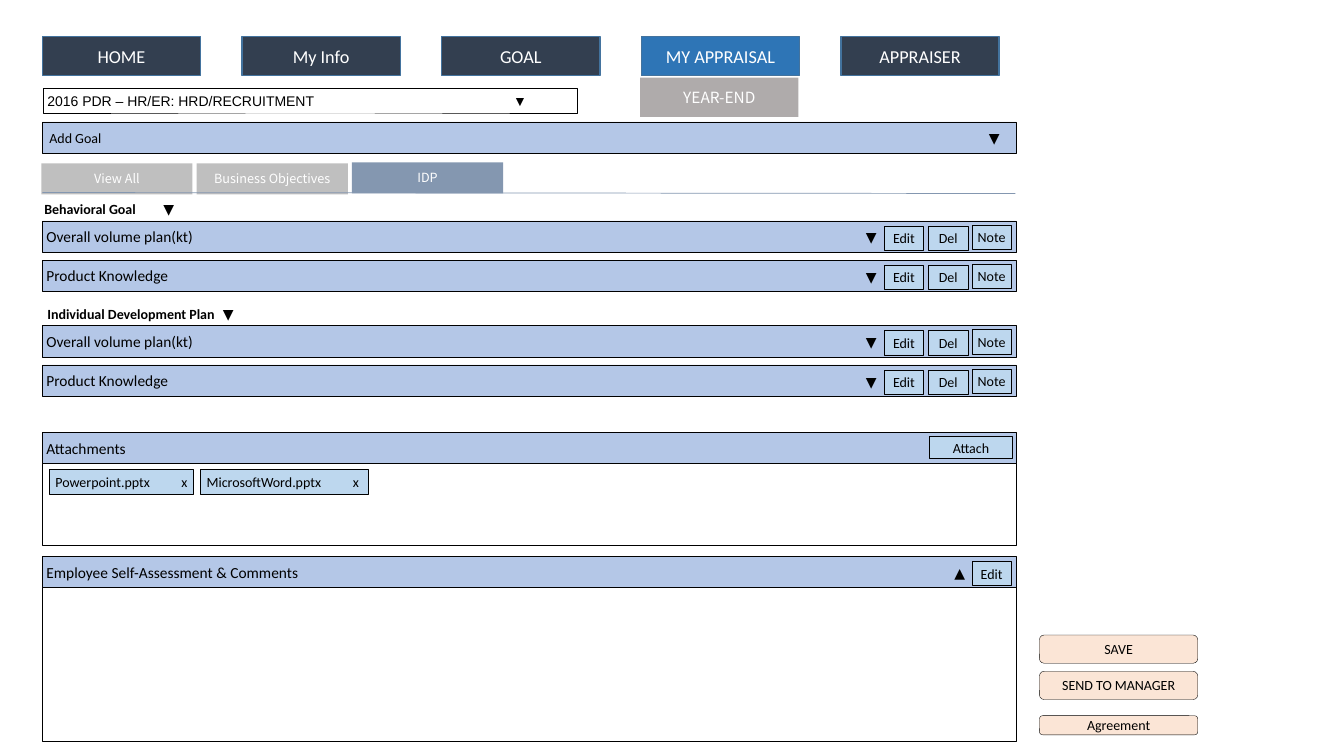
from dataclasses import dataclass

from lxml import etree
from pptx import Presentation
from pptx.dml.color import RGBColor
from pptx.enum import shapes, text
from pptx.oxml import ns
from pptx import util as u

PX = 9144  # 100 px to the inch


@dataclass(frozen=True)
class Theme:
    nav: str = "333F50"
    nav_active: str = "2E75B6"
    nav_line: str = "43739E"
    submenu: str = "AFABAB"
    tab: str = "BFBFBF"
    tab_active: str = "8497B0"
    bar: str = "B4C7E7"
    button: str = "BDD7EE"
    action: str = "FBE5D6"
    ink: str = "000000"
    white: str = "FFFFFF"
    body_font: str = "Calibri"
    field_font: str = "Arial"
    tab_font: str = "Noto Sans CJK KR"
    nav_size: int = 13
    bar_size: int = 11
    small_size: int = 10
    tab_size: int = 9


THEME = Theme()
LEFT, WIDTH, BAR_HEIGHT = 42, 966, 31
NAV_WIDTH, NAV_HEIGHT = 157, 39
CENTER, START = text.PP_ALIGN.CENTER, text.PP_ALIGN.LEFT


def emu(*lengths):
    return [u.Emu(length * PX) for length in lengths]


def write(shape, runs, size=THEME.small_size, font=THEME.body_font,
          color=THEME.ink, align=CENTER, inset=4, tab=None):
    """Fill a shape with one line of (words, bold) runs, with an optional tab stop."""
    frame = shape.text_frame
    margin, none = emu(inset, 0)
    settings = {"word_wrap": tab is None, "vertical_anchor": text.MSO_ANCHOR.MIDDLE,
                "margin_left": margin, "margin_right": none if tab else margin,
                "margin_top": none, "margin_bottom": none}
    for name, value in settings.items():
        setattr(frame, name, value)
    paragraph = frame.paragraphs[0]
    paragraph.alignment = align
    if tab:
        tabs = etree.SubElement(paragraph._p.get_or_add_pPr(), ns.qn("a:tabLst"))
        etree.SubElement(tabs, ns.qn("a:tab"), pos=str(tab * PX), algn="l")
    for words, bold in runs:
        run = paragraph.add_run()
        run.text = words
        for name, value in {"name": font, "size": u.Pt(size), "bold": bold}.items():
            setattr(run.font, name, value)
        run.font.color.rgb = RGBColor.from_string(color)


def add_box(slide, box, words="", fill=None, line=THEME.ink, line_width=0.25,
            kind=shapes.MSO_SHAPE.RECTANGLE, **style):
    shape = slide.shapes.add_shape(kind, *emu(*box))
    shape.shadow.inherit = False
    if fill:
        shape.fill.solid()
        shape.fill.fore_color.rgb = RGBColor.from_string(fill)
    else:
        shape.fill.background()
    if line:
        shape.line.color.rgb = RGBColor.from_string(line)
        shape.line.width = u.Pt(line_width)
    else:
        shape.line.fill.background()
    if words:
        write(shape, [(words, False)], **style)


def add_label(slide, box, runs, **style):
    write(slide.shapes.add_textbox(*emu(*box)), runs, **style)


def add_arrow(slide, left, top, mark="▼"):
    add_label(slide, (left, top, 24, 27), [(mark, False)], inset=0)


def add_button(slide, left, top, words, width=39, height=24):
    add_box(slide, (left, top, width, height), words, THEME.button)


def add_bar(slide, top, words, size=THEME.bar_size, inset=4):
    add_box(slide, (LEFT, top, WIDTH, BAR_HEIGHT), words, THEME.bar,
            size=size, align=START, inset=inset)


def add_goal_row(slide, top, words):
    add_bar(slide, top, words)
    add_arrow(slide, 852, top + 3)
    for left, drop, caption in ((877, 5, "Edit"), (921, 5, "Del"), (964, 4, "Note")):
        add_button(slide, left, top + drop, caption)


def add_goal_section(slide, top, heading, inset, tab):
    add_label(slide, (LEFT, top, 323, 21), [(heading + "\t", True), ("▼", False)],
              align=START, inset=inset, tab=tab)
    for offset, goal in ((22, "Overall volume plan(kt)"), (61, "Product Knowledge")):
        add_goal_row(slide, top + offset, goal)


def add_panel(slide, top, heading, body_height):
    add_box(slide, (LEFT, top + 30, WIDTH, body_height))
    add_bar(slide, top, heading)


def add_navigation(slide):
    items = ("HOME", "My Info", "GOAL", "MY APPRAISAL", "APPRAISER")
    for index, item in enumerate(items):
        fill = THEME.nav_active if item == "MY APPRAISAL" else THEME.nav
        add_box(slide, (LEFT + index * 198, 36, NAV_WIDTH, NAV_HEIGHT), item, fill,
                THEME.nav_line, 1, size=THEME.nav_size, color=THEME.white)
    add_box(slide, (635, 77, NAV_WIDTH, NAV_HEIGHT), "YEAR-END", THEME.submenu, None,
            size=THEME.bar_size, font=THEME.tab_font, color=THEME.white)


def add_tabs(slide):
    tabs = (("View All", 162, THEME.tab), ("Business Objectives", 162, THEME.tab),
            ("IDP", 161, THEME.tab_active))
    for index, (caption, top, fill) in enumerate(tabs):
        add_box(slide, (41 + index * 154, top, 150, BAR_HEIGHT), caption, fill, None,
                size=THEME.tab_size, font=THEME.tab_font, color=THEME.white)
    rule = slide.shapes.add_connector(shapes.MSO_CONNECTOR.STRAIGHT,
                                      *emu(LEFT, 191, 1007, 192))
    rule.line.color.rgb = RGBColor.from_string(THEME.tab_active)
    rule.line.width = u.Pt(0.5)
    etree.SubElement(rule._element.spPr, ns.qn("a:effectLst"))


def main():
    presentation = Presentation()
    presentation.slide_width, presentation.slide_height = emu(1333, 750)
    slide = presentation.slides.add_slide(presentation.slide_layouts[6])

    # Navigation and appraisal picker
    add_navigation(slide)
    add_box(slide, (43, 88, 529, 24), "2016 PDR – HR/ER: HRD/RECRUITMENT\t▼",
            font=THEME.field_font, align=START, tab=462)
    add_bar(slide, 121, "Add Goal", size=THEME.small_size, inset=7)
    add_arrow(slide, 974, 123)
    add_tabs(slide)

    # Goals
    add_goal_section(slide, 197, "Behavioral Goal", inset=2, tab=118)
    add_goal_section(slide, 301, "Individual Development Plan", inset=5, tab=174)

    # Attachments
    add_panel(slide, 429, "Attachments", 82)
    add_button(slide, 922, 433, "Attach", 82, 22)
    for left, width, file_name, tab in ((49, 143, "Powerpoint.pptx", 125),
                                        (199, 166, "MicrosoftWord.pptx", 145)):
        add_box(slide, (left, 466, width, 24), file_name + "\tx", THEME.button,
                align=START, inset=6, tab=tab)

    # Self-assessment
    add_panel(slide, 552, "Employee Self-Assessment & Comments", 153)
    add_arrow(slide, 940, 555, "▲")
    add_button(slide, 964, 557, "Edit")

    # Page actions
    for top, height, caption in ((630, 28, "SAVE"), (666, 28, "SEND TO MANAGER"),
                                 (710, 19, "Agreement")):
        add_box(slide, (1031, top, NAV_WIDTH, height), caption, THEME.action,
                kind=shapes.MSO_SHAPE.ROUNDED_RECTANGLE, inset=2)

    presentation.save("out.pptx")


if __name__ == "__main__":
    main()
